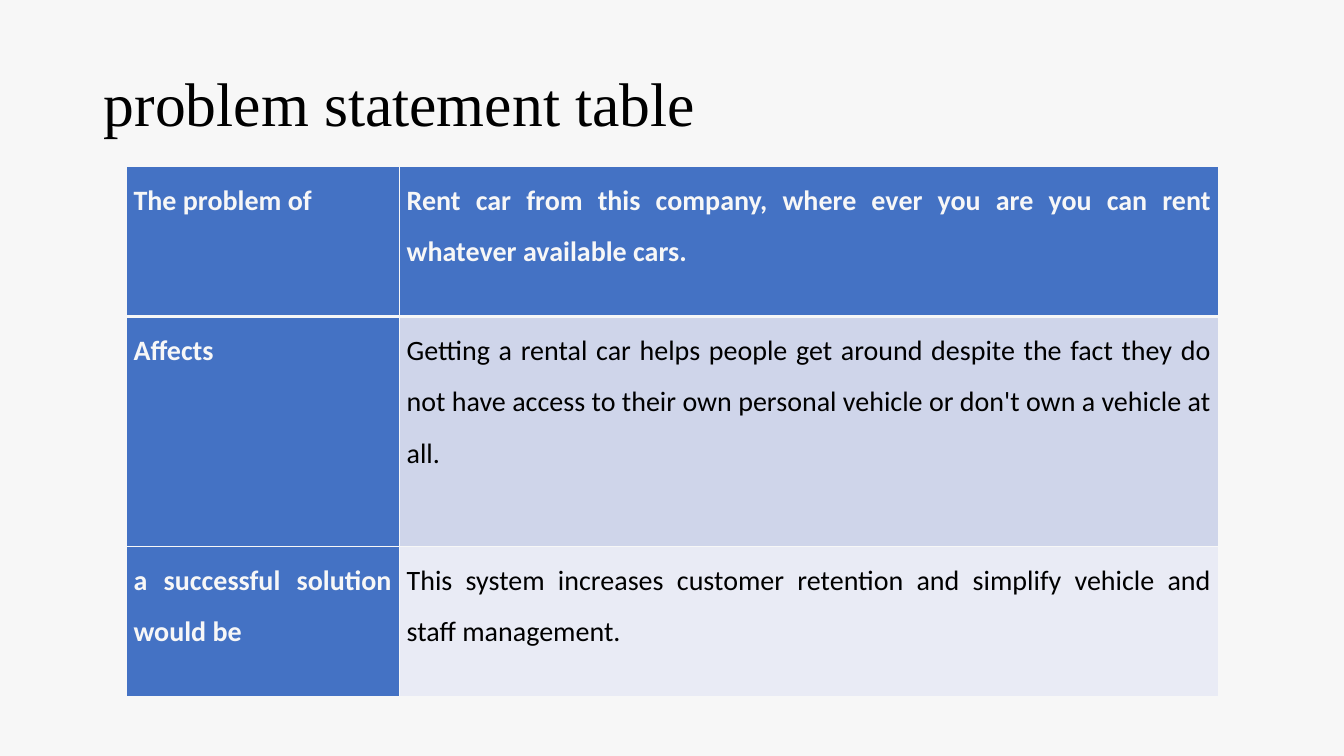
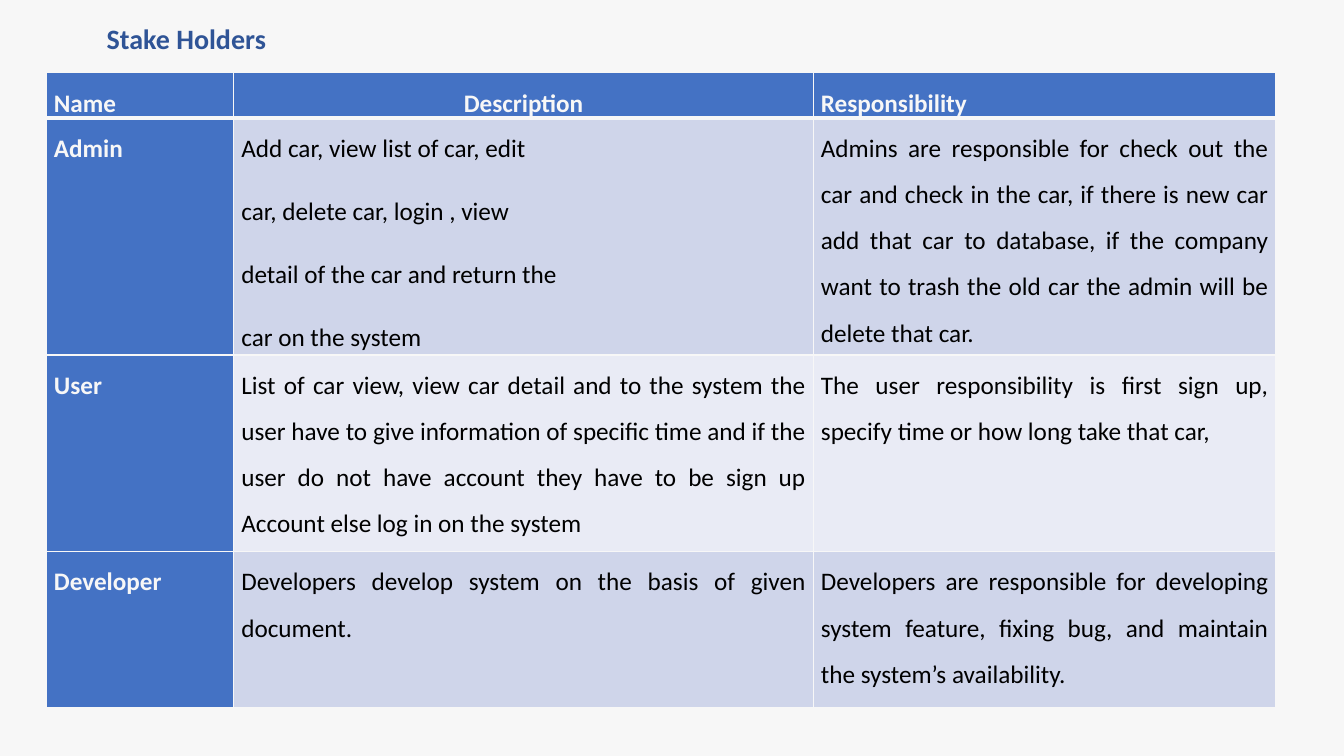
from lxml import etree
from pptx import Presentation
from pptx.dml.color import RGBColor
from pptx.enum.text import MSO_AUTO_SIZE, PP_ALIGN
from pptx.oxml.ns import qn
from pptx.util import Pt

LEFT, CENTER, JUSTIFY = PP_ALIGN.LEFT, PP_ALIGN.CENTER, PP_ALIGN.JUSTIFY
FIT_SHAPE = MSO_AUTO_SIZE.SHAPE_TO_FIT_TEXT

PAPER = "F7F7F7"
INK = "000000"
ACCENT = "4472C4"
HEADING = "2F5496"
BANDS = ("CFD5EA", "E9EBF5")
BODY_FONT = "Calibri"
TITLE_FONT = "Times New Roman"


def color(value):
    return RGBColor.from_string(value)


class Deck:
    """Holds the shared style and the slide being filled."""

    def __init__(self):
        self.deck = Presentation()
        self.deck.slide_width, self.deck.slide_height = Pt(960), Pt(540)
        self.page = None

    def add_page(self):
        self.page = self.deck.slides.add_slide(self.deck.slide_layouts[6])
        fill = self.page.background.fill
        fill.solid()
        fill.fore_color.rgb = color(PAPER)

    def add_span(self, para, text, size, ink, bold=False, font=BODY_FONT):
        span = para.add_run()
        span.text = text
        span.font.name = font
        span.font.size = Pt(size)
        span.font.bold = bold
        span.font.color.rgb = color(ink)

    def space(self, para, align, before=6):
        para.alignment = align
        para.line_spacing = 1.5
        para.space_before, para.space_after = Pt(before), Pt(6)

    def add_title(self, left, top, width, height):
        box = self.page.shapes.add_textbox(Pt(left), Pt(top), Pt(width), Pt(height))
        frame = box.text_frame
        frame.word_wrap = True
        frame.auto_size = FIT_SHAPE
        para = frame.paragraphs[0]
        para.alignment = LEFT
        return para

    def add_border(self, cell, side, width):
        line = etree.SubElement(cell._tc.get_or_add_tcPr(), qn("a:ln" + side), w=str(Pt(width)))
        fill = etree.SubElement(line, qn("a:solidFill"))
        etree.SubElement(fill, qn("a:srgbClr"), val=PAPER)

    def fill_cell(self, cell, row, column, text, size, align):
        label = row == 0 or column == 0
        cell.margin_left = cell.margin_right = Pt(5.4)
        cell.margin_top = cell.margin_bottom = Pt(0)
        # The rule under the header is heavier than the others
        widths = {"L": 1, "R": 1, "T": 3 if row == 1 else 1, "B": 3 if row == 0 else 1}
        for side, width in widths.items():
            self.add_border(cell, side, width)
        cell.fill.solid()
        cell.fill.fore_color.rgb = color(ACCENT if label else BANDS[(row - 1) % 2])
        frame = cell.text_frame
        for index, line in enumerate(text.split("\n")):
            para = frame.add_paragraph() if index else frame.paragraphs[0]
            self.space(para, align)
            self.add_span(para, line, size, PAPER if label else INK, label)

    def add_table(self, left, top, widths, heights, rows, size, centered=()):
        table = self.page.shapes.add_table(
            len(heights), len(widths), Pt(left), Pt(top), Pt(sum(widths)), Pt(sum(heights))
        ).table
        table.first_row = table.horz_banding = False
        for column, width in zip(table.columns, widths):
            column.width = Pt(width)
        for line, height in zip(table.rows, heights):
            line.height = Pt(height)
        for row, texts in enumerate(rows):
            for column, text in enumerate(texts):
                align = CENTER if (row, column) in centered else JUSTIFY
                self.fill_cell(table.cell(row, column), row, column, text, size, align)


PROBLEM = [
    ("The problem of ",
     "Rent car from this company, where ever you are you can rent whatever available cars."),
    ("Affects",
     "Getting a rental car helps people get around despite the fact they do not have access "
     "to their own personal vehicle or don't own a vehicle at all."),
    ("a successful solution would be",
     "This system increases customer retention and simplify vehicle and staff management."),
]

STAKEHOLDERS = [
    ("Name ", "Description", "Responsibility"),
    ("Admin",
     "Add car, view list of car, edit\ncar, delete car, login , view\n"
     "detail of the car and return the\ncar on the system",
     "Admins are responsible for check out the car and check in the car, if there is new car "
     "add that car to database, if the company want to trash the old car the admin will be "
     "delete that car."),
    ("User",
     "List of car view, view car detail and to the system the user have to give information "
     "of specific time and if the user do not have account they have to be sign up Account "
     "else log in on the system",
     "The user responsibility is first sign up, specify time or how long take that car,"),
    ("Developer",
     "Developers develop system on the basis of given document.",
     "Developers are responsible for developing system feature, fixing bug, and maintain "
     "the system’s availability."),
]


def main():
    show = Deck()

    # Problem statement
    show.add_page()
    title = show.add_title(67, 42.5, 548.6, 60.5)
    show.add_span(title, "problem statement table", 44, INK, font=TITLE_FONT)
    show.add_table(90, 118.8, (195.1, 585.4), (107.3, 164.2, 107.3), PROBLEM, 20)

    # Stakeholders
    show.add_page()
    title = show.add_title(33.1, 0, 675.4, 39.6)
    show.space(title, JUSTIFY, before=2)
    title._p.get_or_add_pPr().set("marL", str(Pt(36)))
    show.add_span(title, "Stake Holders ", 20, HEADING, bold=True)
    show.add_table(33.1, 52, (133.9, 414, 330.5), (26, 169.2, 140.4, 111.6),
                   STAKEHOLDERS, 18, centered={(0, 1)})

    show.deck.save("out.pptx")


if __name__ == "__main__":
    main()
